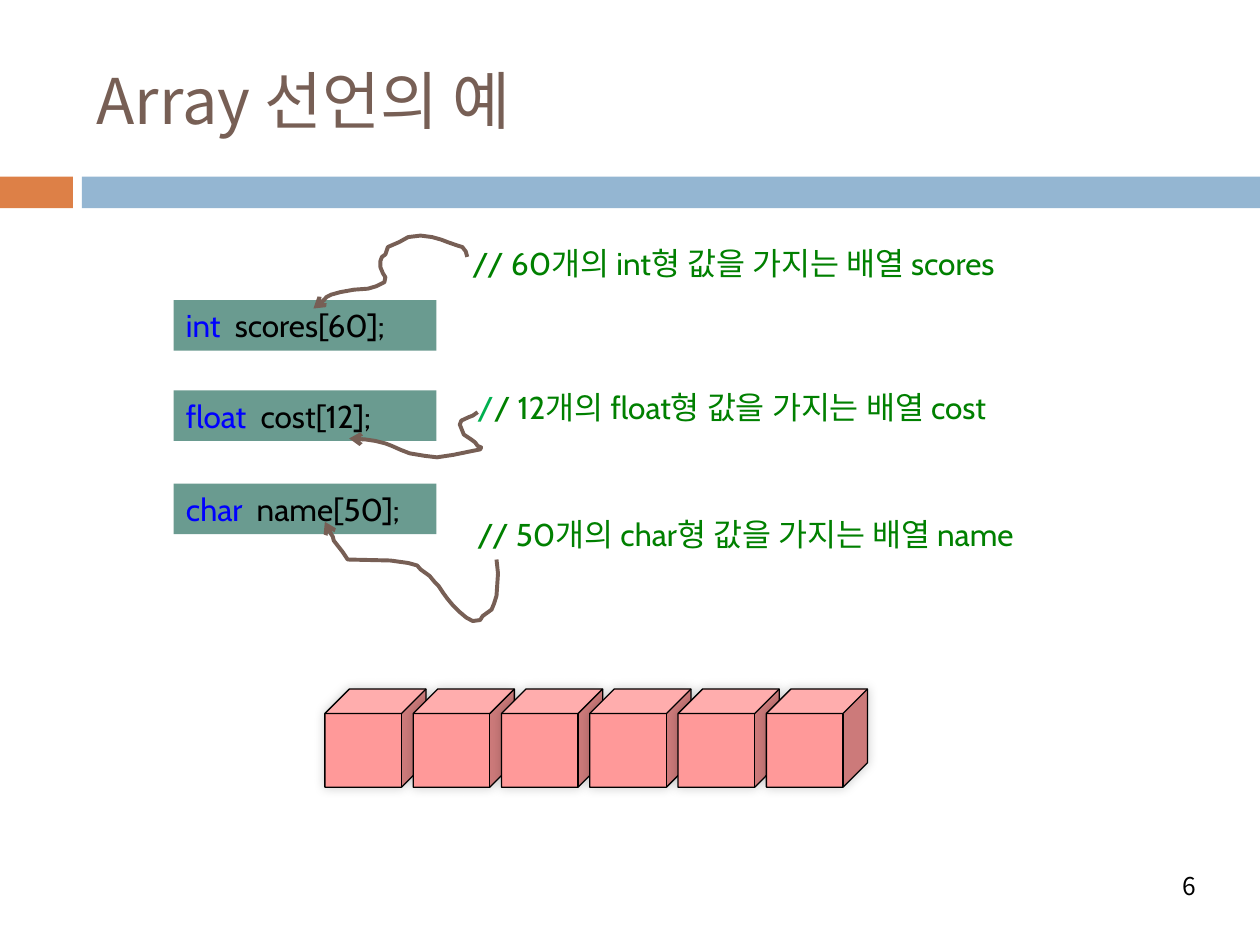
from lxml import etree
from pptx import Presentation
from pptx import util as u
from pptx.dml.color import RGBColor
from pptx.enum import shapes, text
from pptx.oxml.ns import qn

# Content
TITLE = "Array 선언의 예"
PAGE = "6"
KOREAN, LATIN = "Noto Sans CJK KR", "Cabin"
BROWN, GREEN, BRIGHT_GREEN, BLUE, BLACK = "775F55", "008000", "00B050", "0000FF", "000000"

# Header bands: left, width, colour (cm)
BANDS = [(0, 1.47, "DD8047"), (1.65, 23.75, "94B6D2")]

# Declarations: top (cm), type, rest
DECLARATIONS = [
    (6.05, "int", "  scores[60];"),
    (7.87, "float", "  cost[12];"),
    (9.75, "char", "  name[50];"),
]

# Comments: left, top, width (cm), coloured runs
COMMENTS = [
    (9.27, 4.8, 12.2, [("// 60개의 int형 값을 가지는 배열 scores", GREEN)]),
    (9.37, 7.7, 12.2, [("/", BRIGHT_GREEN), ("/ 12개의 float형 값을 가지는 배열 cost", GREEN)]),
    (9.37, 10.26, 12.7, [("// 50개의 char형 값을 가지는 배열 name", GREEN)]),
]

# Hand-drawn arrows from comment to declaration (hundredths of a cm)
ARROWS = [
    [(942, 518), (939, 507), (932, 498), (922, 495), (902, 488), (889, 483), (871, 478),
     (848, 475), (823, 478), (805, 488), (782, 498), (777, 513), (770, 518), (767, 526),
     (767, 539), (772, 551), (777, 559), (775, 569), (759, 577), (742, 582), (714, 584),
     (686, 589), (668, 594), (658, 599), (645, 615), (632, 622)],
    [(963, 831), (953, 838), (945, 841), (930, 848), (927, 856), (935, 876), (950, 886),
     (958, 892), (963, 899), (970, 902), (968, 906), (953, 909), (914, 917), (881, 922),
     (856, 919), (826, 914), (808, 907), (790, 899), (777, 894), (757, 889), (737, 886),
     (704, 884)],
    [(1001, 1128), (1004, 1156), (1001, 1201), (996, 1217), (991, 1229), (973, 1242),
     (968, 1250), (953, 1252), (940, 1245), (927, 1234), (912, 1219), (902, 1207),
     (894, 1196), (884, 1181), (876, 1173), (866, 1161), (848, 1148), (841, 1140),
     (823, 1135), (787, 1130), (701, 1128), (691, 1113), (673, 1090), (671, 1082),
     (658, 1062), (655, 1052)],
]

# Row of array cells (cm)
CELL_COUNT, CELL_LEFT, CELL_TOP, CELL_STEP = 6, 6.55, 13.89, 1.78
CELL_WIDTH, CELL_HEIGHT = 2.04, 1.98

deck = Presentation()
deck.slide_width, deck.slide_height = u.Cm(25.4), u.Cm(19.05)
slide = deck.slides.add_slide(deck.slide_layouts[6])


def rgb(value):
    return RGBColor.from_string(value)


def block(kind, left, top, width, height, colour):
    shape = slide.shapes.add_shape(kind, *map(u.Cm, (left, top, width, height)))
    shape.shadow.inherit = False
    shape.fill.solid()
    shape.fill.fore_color.rgb = rgb(colour)
    shape.line.fill.background()
    return shape


def label(left, top, width, height):
    return slide.shapes.add_textbox(*map(u.Cm, (left, top, width, height)))


def write(shape, runs, size, font, align=text.PP_ALIGN.LEFT, anchor=text.MSO_ANCHOR.TOP):
    """Fill a shape with one paragraph of (text, colour) runs."""
    frame = shape.text_frame
    frame.word_wrap = True
    frame.vertical_anchor = anchor
    paragraph = frame.paragraphs[0]
    paragraph.alignment = align
    paragraph.font.size = u.Pt(size)
    paragraph.font.name = font
    defaults = paragraph._p.pPr.find(qn("a:defRPr"))
    etree.SubElement(defaults, qn("a:ea"), typeface=KOREAN)
    for words, colour in runs:
        run = paragraph.add_run()
        run.text = words
        run.font.color.rgb = rgb(colour)
    return paragraph


# Header
for left, width, colour in BANDS:
    block(shapes.MSO_SHAPE.RECTANGLE, left, 3.56, width, 0.64, colour)
write(label(1.7, 0.64, 22.66, 2.74), [(TITLE, BROWN)], 36, KOREAN,
      anchor=text.MSO_ANCHOR.MIDDLE)

# Declarations and comments
for top, kind, rest in DECLARATIONS:
    box = block(shapes.MSO_SHAPE.RECTANGLE, 3.5, top, 5.3, 1.02, "6A9B90")
    write(box, [(kind, BLUE), (rest, BLACK)], 18, LATIN)
for left, top, width, runs in COMMENTS:
    paragraph = write(label(left, top, width, 1.02), runs, 18, LATIN)
    paragraph.space_before = u.Pt(3.6)
    paragraph._p.pPr.set("marL", str(u.Cm(0.95)))
    paragraph._p.pPr.set("indent", str(-u.Cm(0.95)))

# Arrows
for start, *rest in ARROWS:
    outline = slide.shapes.build_freeform(*start, scale=u.Cm(0.01))
    outline.add_line_segments(rest, close=False)
    arrow = outline.convert_to_shape()
    arrow.shadow.inherit = False
    arrow.fill.background()
    arrow.line.color.rgb = rgb(BROWN)
    arrow.line.width = u.Pt(2.25)
    line = arrow.line._get_or_add_ln()
    etree.SubElement(line, qn("a:round"))
    etree.SubElement(line, qn("a:tailEnd"), type="arrow")

# Array cells with a soft shadow
for index in range(CELL_COUNT):
    cell = block(shapes.MSO_SHAPE.CUBE, CELL_LEFT + index * CELL_STEP, CELL_TOP,
                 CELL_WIDTH, CELL_HEIGHT, "FF9999")
    cell.line.color.rgb = rgb(BLACK)
    cell.line.width = u.Pt(0.75)
    effects = cell._element.spPr.find(qn("a:effectLst"))
    shadow = etree.SubElement(effects, qn("a:outerShdw"), blurRad=str(u.Pt(6)),
                              dist="0", dir="18900000")
    shade = etree.SubElement(shadow, qn("a:srgbClr"), val=BLACK)
    etree.SubElement(shade, qn("a:alpha"), val="20000")

# Page number
write(label(17.3, 17.35, 7.06, 1.02), [(PAGE, BLACK)], 14, KOREAN,
      text.PP_ALIGN.RIGHT, text.MSO_ANCHOR.MIDDLE)

deck.save("out.pptx")
